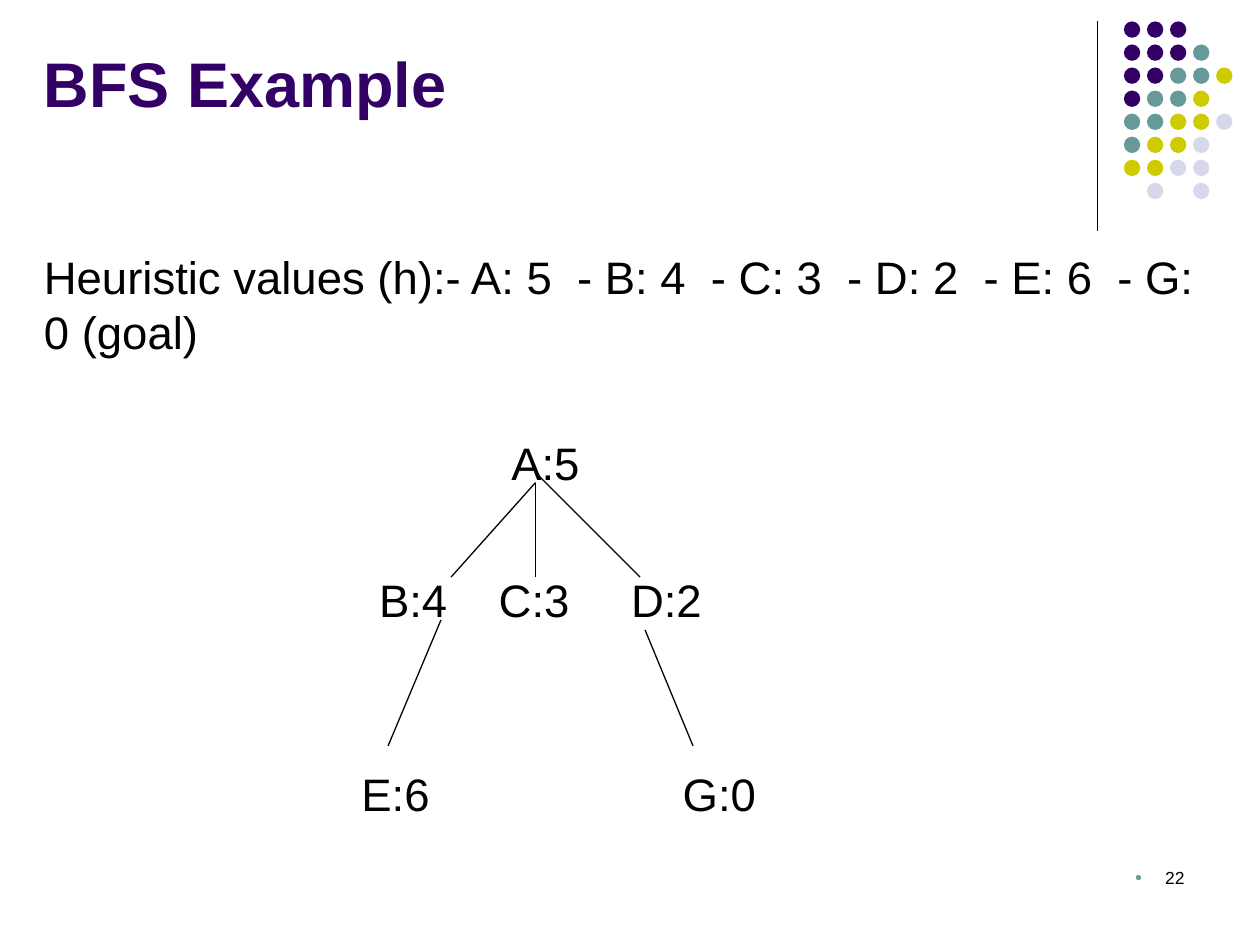
from dataclasses import dataclass

from lxml.etree import SubElement
from pptx import Presentation
from pptx.dml.color import RGBColor as Rgb
from pptx.enum.shapes import MSO_CONNECTOR as Connector
from pptx.enum.shapes import MSO_SHAPE as Shape
from pptx.enum.text import MSO_ANCHOR as Anchor
from pptx.enum.text import PP_ALIGN as Align
from pptx.oxml.ns import qn
from pptx.slide import Slide
from pptx.util import Inches, Pt


@dataclass(frozen=True)
class Theme:
    font: str = "Arial"
    ink: str = "000000"
    purple: str = "330066"
    teal: str = "669999"
    lime: str = "CCCC00"
    lilac: str = "D8D8EC"
    title_size: float = 36
    body_size: float = 26
    number_size: float = 10
    line_width: float = 0.75


@dataclass(frozen=True)
class TextArea:
    left: float
    top: float
    width: float
    height: float
    inset_top: float = 0.05


@dataclass(frozen=True)
class Node:
    label: str
    x: float


@dataclass(frozen=True)
class Level:
    area: TextArea
    nodes: tuple[Node, ...]


@dataclass(frozen=True)
class Line:
    x1: float
    y1: float
    x2: float
    y2: float


THEME = Theme()
SIDE_INSET = 0.1

DOT_ROWS = ("PPP", "PPPT", "PPTTL", "PTTL", "TTLLV", "TLLV", "LLVV", " V V")
DOT_COLORS = {"P": THEME.purple, "T": THEME.teal, "L": THEME.lime, "V": THEME.lilac}
DOT_LEFT, DOT_TOP, DOT_SIZE, DOT_PITCH = 8.92, 0.17, 0.13, 0.183

DIVIDER = Line(8.71, 0.17, 8.71, 1.83)
EDGES = (
    Line(4.25, 3.83, 3.58, 4.58),
    Line(4.25, 3.75, 5.08, 4.58),
    Line(4.25, 3.83, 4.25, 4.58),
    Line(3.5, 4.92, 3.08, 5.92),
    Line(5.12, 5, 5.5, 5.92),
)
LEVELS = (
    Level(TextArea(0.38, 3.36, 9.42, 0.54, 0.09), (Node("A:5", 4.06),)),
    Level(
        TextArea(1.33, 4.45, 6.08, 0.54, 0.09),
        (Node("B:4", 3.01), Node("C:3", 3.96), Node("D:2", 5.01)),
    ),
    Level(
        TextArea(2.29, 5.99, 3.92, 0.54, 0.09),
        (Node("E:6", 2.87), Node("G:0", 5.42)),
    ),
)


def add_area(slide: Slide, area: TextArea):
    frame = slide.shapes.add_textbox(
        Inches(area.left), Inches(area.top), Inches(area.width), Inches(area.height)
    ).text_frame
    frame.word_wrap = True
    frame.margin_left = frame.margin_right = Inches(SIDE_INSET)
    frame.margin_top = Inches(area.inset_top)
    frame.margin_bottom = Inches(0.05)
    return frame


def add_run(paragraph, text: str, size: float, color: str = THEME.ink, bold: bool = False) -> None:
    run = paragraph.add_run()
    run.text = text
    run.font.name = THEME.font
    run.font.size = Pt(size)
    run.font.bold = bold
    run.font.color.rgb = Rgb.from_string(color)


def add_line(slide: Slide, line: Line) -> None:
    connector = slide.shapes.add_connector(
        Connector.STRAIGHT, Inches(line.x1), Inches(line.y1), Inches(line.x2), Inches(line.y2)
    )
    connector.line.color.rgb = Rgb.from_string(THEME.ink)
    connector.line.width = Pt(THEME.line_width)
    SubElement(connector._element.spPr, qn("a:effectLst"))


def add_dots(slide: Slide) -> None:
    for row, codes in enumerate(DOT_ROWS):
        for column, code in enumerate(codes):
            if code not in DOT_COLORS:
                continue
            dot = slide.shapes.add_shape(
                Shape.OVAL,
                Inches(DOT_LEFT + column * DOT_PITCH),
                Inches(DOT_TOP + row * DOT_PITCH),
                Inches(DOT_SIZE),
                Inches(DOT_SIZE),
            )
            dot.shadow.inherit = False
            dot.fill.solid()
            dot.fill.fore_color.rgb = Rgb.from_string(DOT_COLORS[code])
            dot.line.fill.background()


def add_level(slide: Slide, level: Level) -> None:
    paragraph = add_area(slide, level.area).paragraphs[0]
    stops = SubElement(paragraph._p.get_or_add_pPr(), qn("a:tabLst"))
    text_left = level.area.left + SIDE_INSET
    for node in level.nodes:
        SubElement(stops, qn("a:tab"), pos=str(int(Inches(node.x - text_left))), algn="l")
        add_run(paragraph, "\t" + node.label, THEME.body_size)


def add_page_number(slide: Slide, number: str) -> None:
    paragraph = add_area(slide, TextArea(7.17, 6.83, 2.33, 0.5)).paragraphs[0]
    paragraph.alignment = Align.RIGHT
    props = paragraph._p.get_or_add_pPr()
    hanging = int(Inches(0.24))
    props.set("marL", str(hanging))
    props.set("indent", str(-hanging))
    bullet_color = SubElement(props, qn("a:buClr"))
    SubElement(bullet_color, qn("a:srgbClr"), val=THEME.teal)
    SubElement(props, qn("a:buSzPct"), val="70000")
    SubElement(props, qn("a:buFont"), typeface=THEME.font)
    SubElement(props, qn("a:buChar"), char="●")
    add_run(paragraph, number, THEME.number_size)


def main() -> None:
    deck = Presentation()
    deck.slide_width, deck.slide_height = Inches(10), Inches(7.5)
    slide = deck.slides.add_slide(deck.slide_layouts[6])

    add_line(slide, DIVIDER)
    add_dots(slide)

    title = add_area(slide, TextArea(0.25, 0.25, 8.42, 0.75))
    title.vertical_anchor = Anchor.BOTTOM
    add_run(title.paragraphs[0], "BFS Example", THEME.title_size, THEME.purple, bold=True)

    add_page_number(slide, "22")

    heuristics = add_area(slide, TextArea(0.25, 1.39, 9.54, 1.5, 0.59))
    add_run(
        heuristics.paragraphs[0],
        "Heuristic values (h):- A: 5  - B: 4  - C: 3  - D: 2  - E: 6  - G: 0 (goal)",
        THEME.body_size,
    )

    for edge in EDGES:
        add_line(slide, edge)
    for level in LEVELS:
        add_level(slide, level)

    deck.save("out.pptx")


if __name__ == "__main__":
    main()
